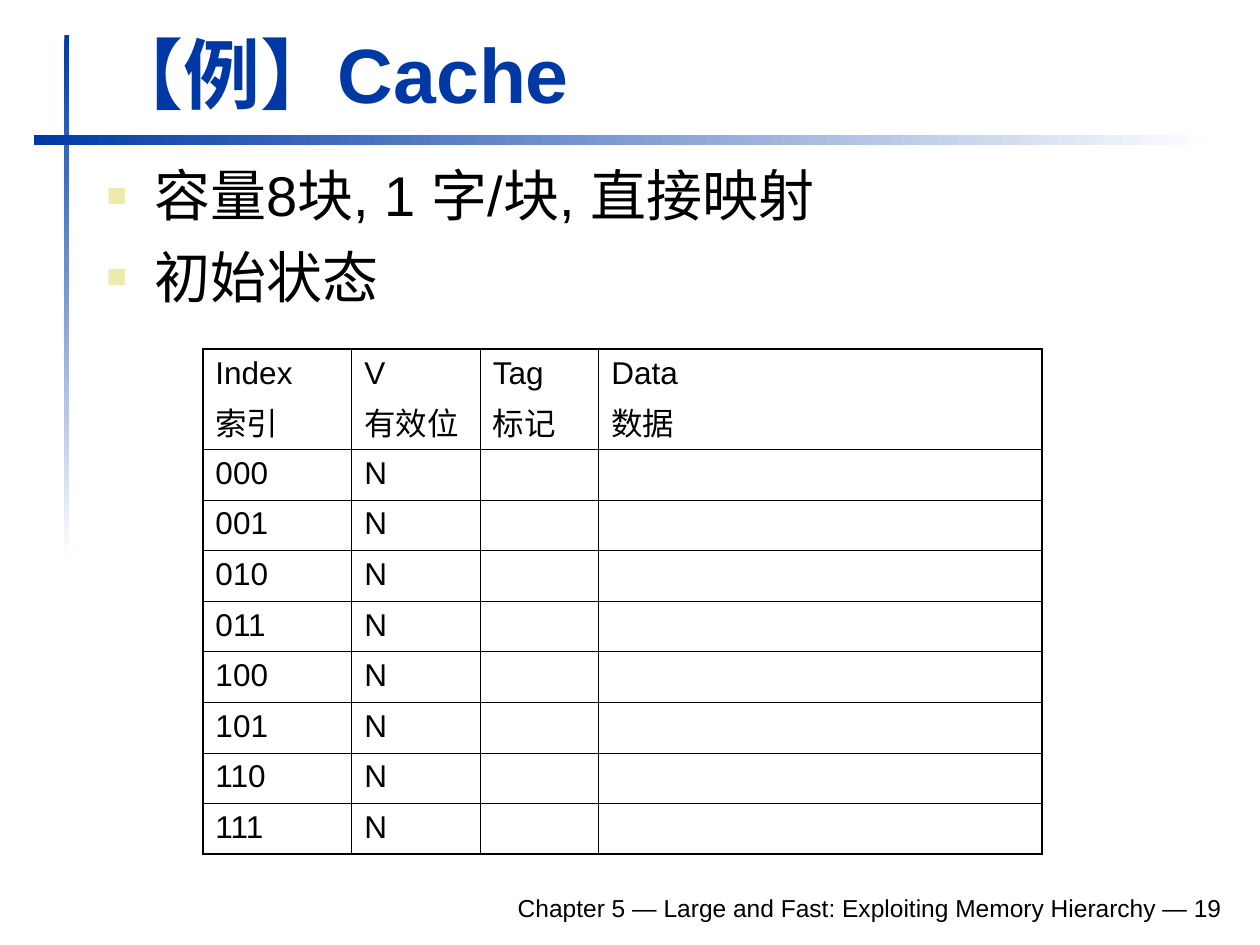
from dataclasses import dataclass, field

from lxml import etree
from pptx import Presentation
from pptx import util as u
from pptx.dml.color import RGBColor
from pptx.enum import shapes, text
from pptx.oxml.ns import qn

COLORS = {"blue": "0039A6", "white": "FFFFFF", "black": "000000", "bullet": "ECEAAC"}


@dataclass
class SlideBuilder:
    """Holds the slide style and draws each kind of element on the current slide."""

    slide: object
    font: str = "Arial"
    colors: dict = field(default_factory=lambda: dict(COLORS))

    def rgb(self, name):
        return RGBColor.from_string(self.colors[name])

    def bar(self, left, top, width, height, angle):
        shape = self.slide.shapes.add_shape(
            shapes.MSO_SHAPE.RECTANGLE, u.Cm(left), u.Cm(top), u.Cm(width), u.Cm(height))
        shape.shadow.inherit = False
        shape.line.fill.background()
        shape.fill.gradient()
        shape.fill.gradient_angle = angle
        for stop, position, name in zip(shape.fill.gradient_stops, (0, 1), ("blue", "white")):
            stop.position = position
            stop.color.rgb = self.rgb(name)

    def bullet(self, paragraph):
        properties = paragraph._p.get_or_add_pPr()
        properties.set("marL", str(u.Cm(0.96)))
        properties.set("indent", str(u.Cm(-0.96)))
        color = etree.SubElement(properties, qn("a:buClr"))
        etree.SubElement(color, qn("a:srgbClr"), val=self.colors["bullet"])
        etree.SubElement(properties, qn("a:buSzPct"), val="60000")
        etree.SubElement(properties, qn("a:buFont"), typeface=self.font)
        etree.SubElement(properties, qn("a:buChar"), char="■")

    def add_lines(self, frame, lines, size, color="black", bold=False, gap=0,
                  align=text.PP_ALIGN.LEFT, bulleted=False):
        for number, line in enumerate(lines):
            paragraph = frame.add_paragraph() if number else frame.paragraphs[0]
            if bulleted:
                self.bullet(paragraph)
            paragraph.alignment = align
            paragraph.space_before = u.Pt(gap if number else 0)
            run = paragraph.add_run()
            run.text = line
            run.font.name = self.font
            run.font.size = u.Pt(size)
            run.font.bold = bold
            run.font.color.rgb = self.rgb(color)

    def textbox(self, left, top, width, height, lines, size,
                anchor=text.MSO_ANCHOR.TOP, **style):
        box = self.slide.shapes.add_textbox(u.Cm(left), u.Cm(top), u.Cm(width), u.Cm(height))
        frame = box.text_frame
        frame.word_wrap = True
        frame.vertical_anchor = anchor
        self.add_lines(frame, lines, size, **style)

    def borders(self, cell, widths):
        properties = cell._tc.get_or_add_tcPr()
        for position, (side, width) in enumerate(widths.items()):
            line = etree.Element(qn(f"a:ln{side}"), w=str(u.Pt(width)))
            fill = etree.SubElement(line, qn("a:solidFill"))
            etree.SubElement(fill, qn("a:srgbClr"), val=self.colors["black"])
            properties.insert(position, line)

    def table(self, left, top, columns, heights, rows, size):
        table = self.slide.shapes.add_table(
            len(rows), len(columns), u.Cm(left), u.Cm(top),
            u.Cm(sum(columns)), u.Cm(sum(heights))).table
        table.first_row = table.horz_banding = False
        for column, width in zip(table.columns, columns):
            column.width = u.Cm(width)
        row_lines = [1.08, 0.75] + [0.45] * (len(rows) - 2) + [1.08]
        column_lines = [1.08] + [0.45] * (len(columns) - 1) + [1.08]
        for r, row in enumerate(rows):
            table.rows[r].height = u.Cm(heights[r])
            for c, lines in enumerate(row):
                cell = table.cell(r, c)
                cell.fill.background()
                self.borders(cell, {"L": column_lines[c], "R": column_lines[c + 1],
                                    "T": row_lines[r], "B": row_lines[r + 1]})
                self.add_lines(cell.text_frame, lines, size, gap=4.5)


def main():
    presentation = Presentation()
    presentation.slide_width, presentation.slide_height = u.Cm(25.4), u.Cm(19.05)
    builder = SlideBuilder(presentation.slides.add_slide(presentation.slide_layouts[6]))

    builder.bar(1.3, 0.71, 0.1, 10.59, angle=270)
    builder.bar(0.69, 2.72, 23.8, 0.2, angle=0)
    builder.textbox(4.7, 17.73, 20.19, 0.99,
                    ["Chapter 5 — Large and Fast: Exploiting Memory Hierarchy — 19"], 14,
                    anchor=text.MSO_ANCHOR.BOTTOM, align=text.PP_ALIGN.RIGHT)
    builder.textbox(1.9, 0.41, 22.94, 2.11, ["【例】Cache"], 44,
                    anchor=text.MSO_ANCHOR.BOTTOM, color="blue", bold=True)
    builder.textbox(1.9, 3.12, 22.96, 3.71, ["容量8块, 1 字/块, 直接映射", "初始状态"], 32,
                    gap=8, bulleted=True)

    header = [["Index", "索引"], ["V", "有效位"], ["Tag", "标记"], ["Data", "数据"]]
    entries = [[[f"{index:03b}"], ["N"], [], []] for index in range(8)]
    builder.table(4.09, 7.04, [3, 2.59, 2.39, 8.94], [2.02] + [1.02] * len(entries),
                  [header] + entries, 18)
    presentation.save("out.pptx")


if __name__ == "__main__":
    main()
